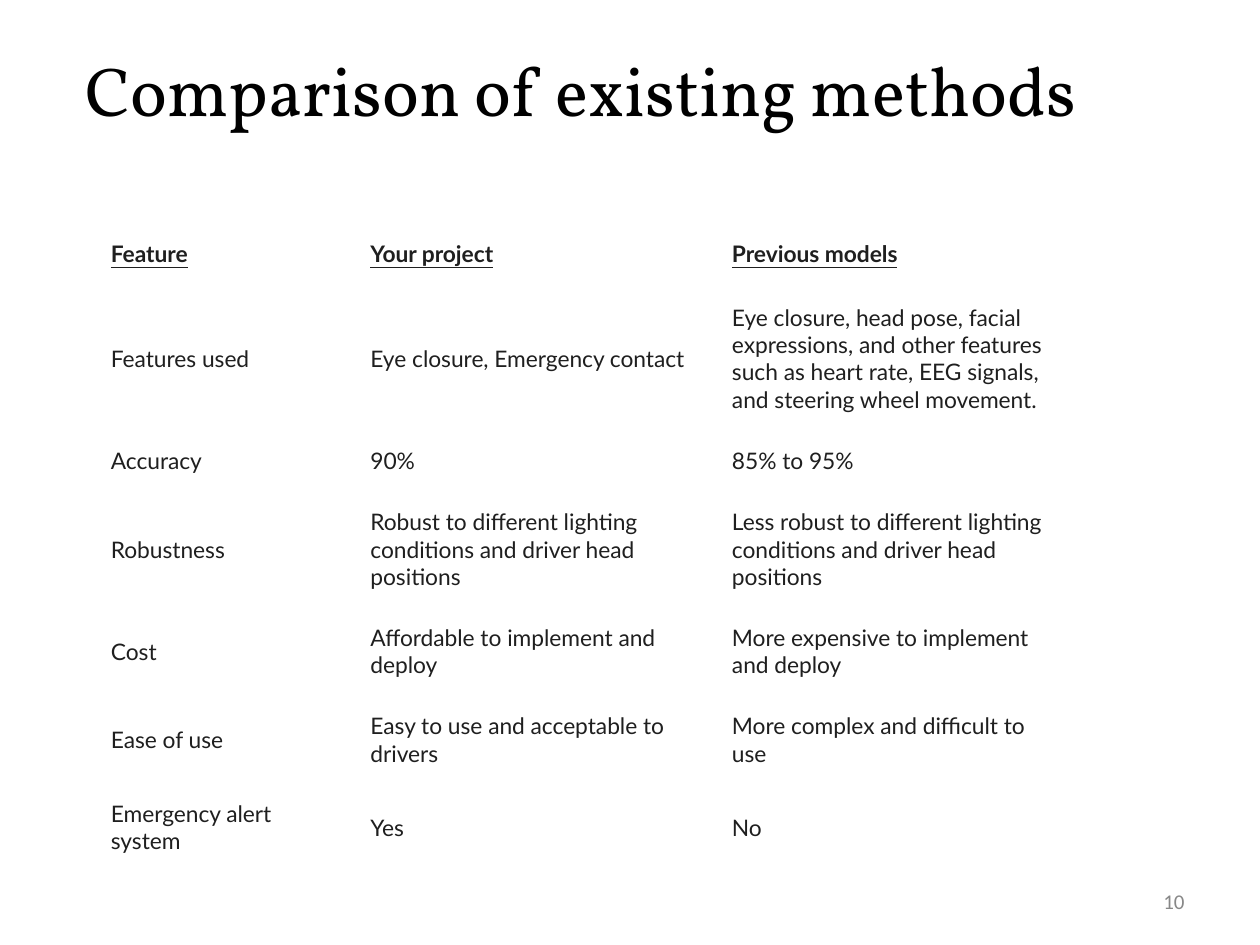
import pptx
import pptx.dml.color
import pptx.enum.text
import pptx.util

COLORS = {"title": "000000", "body": "1F1F1F", "number": "888888"}
ALIGN = pptx.enum.text.PP_ALIGN
MIDDLE = pptx.enum.text.MSO_ANCHOR.MIDDLE
COLUMNS, ROWS = 100, 75

COLUMN_WIDTHS = [20.6, 28.7, 28.7]
ROW_HEIGHTS = [5.2, 11.5, 4.8, 9.2, 7, 7, 4.8]
COMPARISON = [
    ("Feature", "Your project", "Previous models"),
    ("Features used", "Eye closure, Emergency contact",
     "Eye closure, head pose, facial expressions, and other features "
     "such as heart rate, EEG signals, and steering wheel movement."),
    ("Accuracy", "90%", "85% to 95%"),
    ("Robustness",
     "Robust to different lighting conditions and driver head positions",
     "Less robust to different lighting conditions and driver head positions"),
    ("Cost", "Affordable to implement and deploy",
     "More expensive to implement and deploy"),
    ("Ease of use", "Easy to use and acceptable to drivers",
     "More complex and difficult to use"),
    ("Emergency alert system", "Yes", "No"),
]


def write(frame, text, font, size, color, align=ALIGN.LEFT, bold=False, underline=False):
    frame.word_wrap = True
    frame.vertical_anchor = MIDDLE
    para = frame.paragraphs[0]
    para.alignment = align
    span = para.add_run()
    span.text = text
    span.font.name = font
    span.font.size = pptx.util.Pt(size)
    span.font.bold = bold
    span.font.underline = underline
    span.font.color.rgb = pptx.dml.color.RGBColor.from_string(COLORS[color])


class Page:
    """Build one slide on a grid of 100 columns by 75 rows."""

    def __init__(self, deck):
        self.column = deck.slide_width / COLUMNS
        self.row = deck.slide_height / ROWS
        self.slide = deck.slides.add_slide(deck.slide_layouts[5])

    def across(self, columns):
        return round(columns * self.column)

    def down(self, rows):
        return round(rows * self.row)

    def area(self, left, top, width, height):
        return self.across(left), self.down(top), self.across(width), self.down(height)

    def title(self, text, *place):
        box = self.slide.shapes.title
        box.left, box.top, box.width, box.height = self.area(*place)
        box.text_frame.auto_size = pptx.enum.text.MSO_AUTO_SIZE.NONE
        write(box.text_frame, text, "Vollkorn", 39.6, "title", align=ALIGN.CENTER)

    def number(self, text, *place):
        box = self.slide.shapes.add_textbox(*self.area(*place))
        write(box.text_frame, text, "Calibri", 12, "number", align=ALIGN.RIGHT)

    def table(self, records, left, top, widths, heights):
        place = self.area(left, top, sum(widths), sum(heights))
        table = self.slide.shapes.add_table(len(heights), len(widths), *place).table
        table.first_row = table.horz_banding = False
        for column, width in zip(table.columns, widths):
            column.width = self.across(width)
        for index, (row, height, record) in enumerate(zip(table.rows, heights, records)):
            row.height = self.down(height)
            header = index == 0
            for cell, text in zip(row.cells, record):
                cell.fill.background()
                cell.vertical_anchor = MIDDLE
                cell.margin_left = cell.margin_right = self.across(1.3)
                cell.margin_top = cell.margin_bottom = self.down(1.5 if header else 1.3)
                write(cell.text_frame, text, "Lato", 13, "body",
                      bold=header, underline=header)


deck = pptx.Presentation()
deck.slide_width = pptx.util.Inches(10)
deck.slide_height = pptx.util.Inches(7.5)
page = Page(deck)
page.title("Comparison of existing methods", 1.1, 0.8, 90, 12.5)
page.number("10", 71.7, 69.5, 23.3, 4)
page.table(COMPARISON, 7.5, 17.5, COLUMN_WIDTHS, ROW_HEIGHTS)
deck.save("out.pptx")
